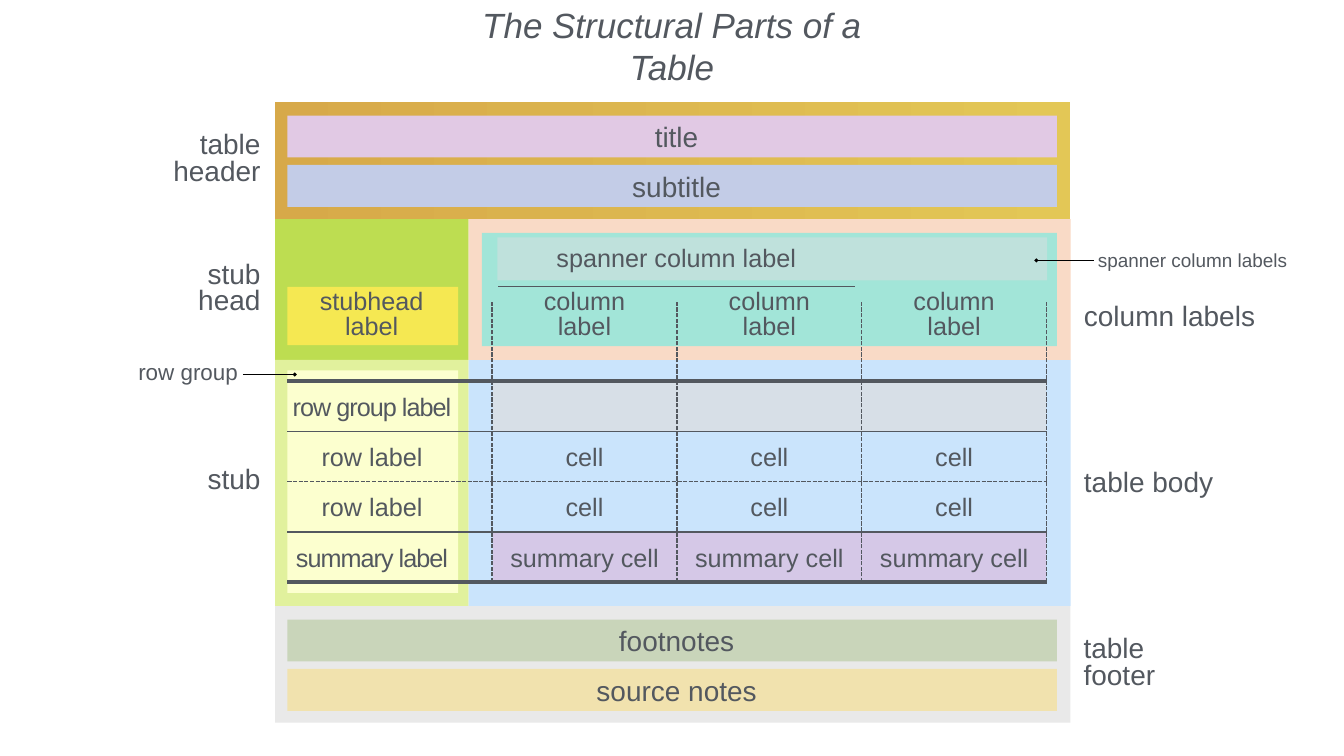
from lxml import etree
from pptx import Presentation
from pptx.dml.color import RGBColor
from pptx.enum import dml, shapes, text
from pptx.oxml.ns import qn
from pptx.util import Pt

LEFT, CENTER, RIGHT = text.PP_ALIGN.LEFT, text.PP_ALIGN.CENTER, text.PP_ALIGN.RIGHT


def rgb(code):
    return RGBColor.from_string(code)


class Sheet:
    face, ink, inset = "Arial", "53585F", 4

    def __init__(self, slide):
        self.slide = slide

    def rect(self, x, y, w, h, color, alpha=None):
        box = self.slide.shapes.add_shape(
            shapes.MSO_SHAPE.RECTANGLE, Pt(x), Pt(y), Pt(w), Pt(h))
        box.shadow.inherit = False
        box.line.fill.background()
        box.fill.solid()
        box.fill.fore_color.rgb = rgb(color)
        if alpha:
            tone = box.fill._xPr.find(".//" + qn("a:srgbClr"))
            etree.SubElement(tone, qn("a:alpha")).set("val", str(alpha * 1000))
        return box

    def fade(self, x, y, w, h, first, last):
        """Rectangle shaded from right (first) to left (last)."""
        fill = self.rect(x, y, w, h, first).fill
        fill.gradient()
        fill.gradient_angle = 180
        for stop, color in zip(fill.gradient_stops, (first, last)):
            stop.color.rgb = rgb(color)

    def line(self, x1, y1, x2, y2, width=2, color=ink, dash=False, tip=None):
        """Straight line; tip is headEnd or tailEnd, where a diamond goes."""
        rule = self.slide.shapes.add_connector(
            shapes.MSO_CONNECTOR.STRAIGHT, Pt(x1), Pt(y1), Pt(x2), Pt(y2))
        rule.line.width = Pt(width)
        rule.line.color.rgb = rgb(color)
        if dash:
            rule.line.dash_style = dml.MSO_LINE.SQUARE_DOT
        if tip:
            end = etree.SubElement(rule.line._get_or_add_ln(), qn("a:" + tip))
            end.set("type", "diamond")
        etree.SubElement(rule._element.spPr, qn("a:effectLst"))

    def label(self, x, y, w, h, words, size=36, align=CENTER, space=None,
              tight=False, italic=None, wrap=True,
              anchor=text.MSO_ANCHOR.MIDDLE):
        box = self.slide.shapes.add_textbox(Pt(x), Pt(y), Pt(w), Pt(h))
        frame = box.text_frame
        frame.word_wrap = wrap
        frame.vertical_anchor = anchor
        frame.margin_left = frame.margin_right = Pt(self.inset)
        frame.margin_top = frame.margin_bottom = Pt(self.inset)
        frame.text = words
        for para in frame.paragraphs:
            para.alignment = align
            para.line_spacing = space
            font = para.font
            font.name, font.size, font.italic = self.face, Pt(size), italic
            font.color.rgb = rgb(self.ink)
            if tight:
                for run in para.runs:
                    run._r.get_or_add_rPr().set("spc", "-140")

    def bars(self, top, items):
        """Two captioned bars inside a header or footer band."""
        for i, (words, color) in enumerate(items):
            y = top + 19.5 + 70.5 * i
            self.rect(INNER, y, 1099.5, 60, color)
            self.label(825, y + 2, 283, 56, words, 40)


EDGE, INNER, SPLIT = 393, 410.5, 669.5
HEAD, COLS, BODY, FOOT = 145.5, 313, 514, 865.5
WIDE, BAND = 1136, 167
GRID, STEP = 703, 264
ROW, RISE = 544.5, 71.75


def draw(s):
    # Bands
    s.rect(EDGE, FOOT, WIDE, BAND, "E9E9E9")
    s.bars(FOOT, [("footnotes", "C9D5BA"), ("source notes", "F1E2AE")])
    s.fade(EDGE, HEAD, WIDE, BAND, "E3C756", "D7A949")
    s.bars(HEAD, [("title", "E1C9E4"), ("subtitle", "C3CCE7")])

    # Stub, body and column areas
    s.rect(EDGE, COLS, SPLIT - EDGE, BODY - COLS, "BDDD51")
    s.rect(EDGE, BODY, SPLIT - EDGE, FOOT - BODY, "E1F19D")
    s.rect(INNER, 529, 244, 318, "FCFFCF")
    s.rect(INNER, 410, 244, 83, "F5E852")
    s.rect(SPLIT, BODY, 860, FOOT - BODY, "CAE4FC")
    s.rect(704, ROW + 3 * RISE, 790.5, 71.5, "DABFE0", 75)
    s.rect(704, ROW, 790.5, 71.5, "DCDEE0", 75)
    s.rect(SPLIT, COLS, 860, BODY - COLS, "F9DAC6")
    s.rect(688.5, 332.5, 821.5, 162, "A2E5D8")
    s.rect(710.5, 339, 785.5, 61.5, "DCDEE0", 50)

    # Grid
    for i in range(4):
        x = GRID + STEP * i
        s.line(x, 831.5, x, 431, dash=True)
    for i in range(5):
        y = ROW + RISE * i
        for start, end in ((702, 1495.5), (INNER, 704)):
            s.line(start, y, end, y, 5 if i in (0, 4) else 2, dash=i == 2)
    s.line(712, 409.5, 1222, 409.5)

    # Column labels and cells
    for i in range(3):
        x = GRID + STEP * i
        s.label(x + 58, 408, 148, 86, "column\nlabel", space=0.8)
        for row, words in enumerate(("cell", "cell", "summary cell"), 1):
            s.label(x, ROW + RISE * (row + 0.5) - 25.5, STEP, 51, words)
    s.label(700.5, 346.5, 531, 51, "spanner column label", space=0.8)

    # Stub labels
    s.label(421, 408, 220, 86, "stubhead label", space=0.8)
    names = "row group label", "row label", "row label", "summary label"
    for i, words in enumerate(names):
        s.label(390.5, ROW + RISE * (i + 0.5) - 25.5, 282, 51, words,
                tight=i in (0, 3))

    # Outer labels
    s.label(620, 61, 680, 68, "The Structural Parts of a Table", 50,
            italic=True, wrap=False, anchor=text.MSO_ANCHOR.BOTTOM)
    for y, h, words in ((182, 94, "table\nheader"), (366.5, 94, "stub\nhead"),
                        (660, 56, "stub")):
        s.label(225, y, 151, h, words, 40, RIGHT, 0.8)
    for y, words in ((422.5, "column labels"), (660, "table body")):
        s.label(1544.5, y, 283, 56, words, 40, LEFT)
    s.label(1544, 902, 151, 94, "table\nfooter", 40, LEFT, 0.8)

    # Callouts
    s.label(1564.5, 351.5, 283, 40, "spanner column labels", 27, LEFT)
    s.line(1480.5, 372, 1563, 372, color="000000", tip="headEnd")
    s.label(165.5, 511, 178.5, 46, "row group", 32, RIGHT, 0.8)
    s.line(347, 535, 421, 535, color="000000", tip="tailEnd")


def main():
    deck = Presentation()
    deck.slide_width, deck.slide_height = Pt(1920), Pt(1080)
    draw(Sheet(deck.slides.add_slide(deck.slide_layouts[6])))
    deck.save("out.pptx")


if __name__ == "__main__":
    main()
